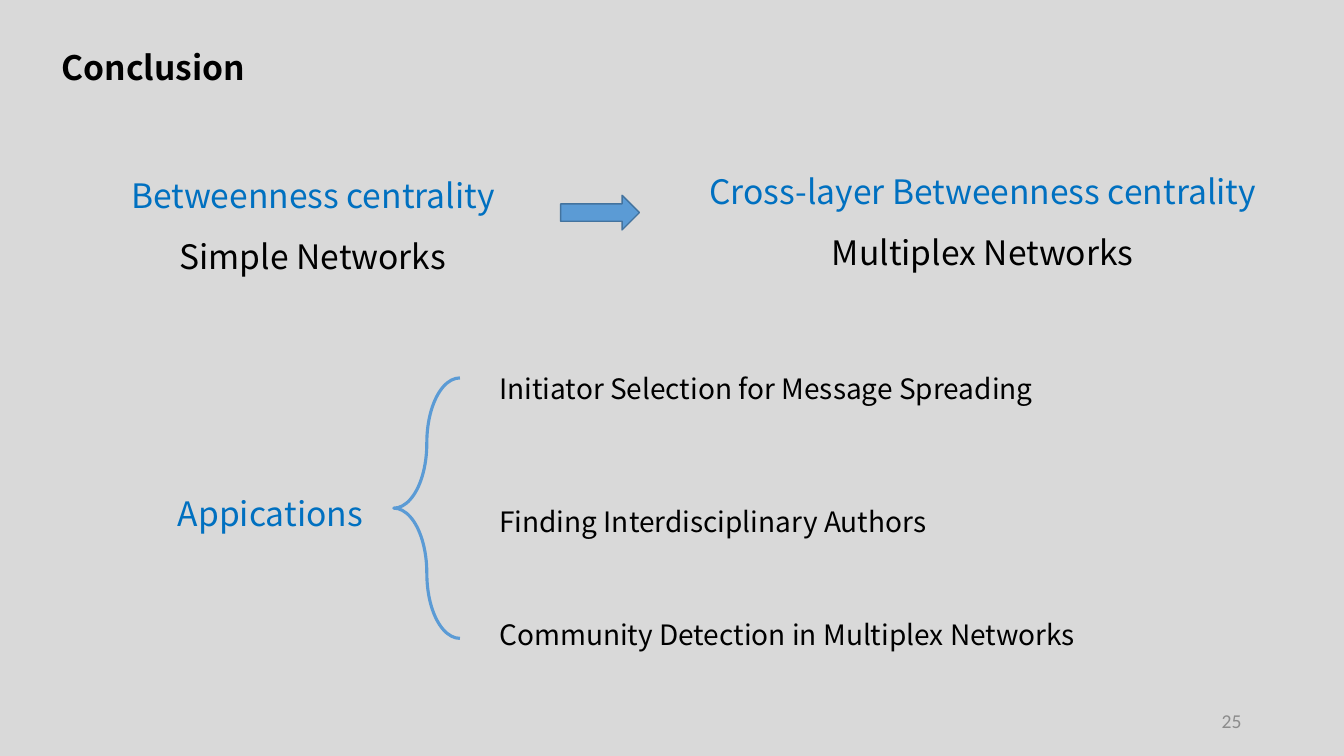
"""Build the conclusion slide on betweenness centrality."""
from pptx import Presentation
from pptx import util as u
from pptx.dml.color import RGBColor
from pptx.enum import shapes, text

PX = 9525
FONT = "Noto Sans CJK SC"
BLACK = RGBColor(0x00, 0x00, 0x00)
BLUE = RGBColor(0x00, 0x70, 0xC0)
SKY = RGBColor(0x5B, 0x9B, 0xD5)
EDGE = RGBColor(0x43, 0x73, 0x9E)
GRAY = RGBColor(0x8C, 0x8C, 0x8C)
BACK = RGBColor(0xD9, 0xD9, 0xD9)
LEFT, MID, RIGHT = text.PP_ALIGN.LEFT, text.PP_ALIGN.CENTER, text.PP_ALIGN.RIGHT


def write(frame, lines, size=24, font=FONT, bold=False, align=MID, space=1.5,
          anchor=text.MSO_ANCHOR.TOP, wrap=False):
    frame.word_wrap = wrap
    frame.auto_size = text.MSO_AUTO_SIZE.NONE
    frame.vertical_anchor = anchor
    for i, (words, color) in enumerate(lines):
        para = frame.add_paragraph() if i else frame.paragraphs[0]
        para.alignment = align
        para.line_spacing = space
        run = para.add_run()
        run.text = words
        run.font.name = font
        run.font.size = u.Pt(size)
        run.font.bold = bold
        run.font.color.rgb = color


class Deck:
    def __init__(self):
        self.prs = Presentation()
        self.prs.slide_width = 1280 * PX
        self.prs.slide_height = 720 * PX
        self.slide = self.prs.slides.add_slide(self.prs.slide_layouts[5])
        fill = self.slide.background.fill
        fill.solid()
        fill.fore_color.rgb = BACK

    def title(self, box, words):
        head = self.slide.shapes.title
        head.left, head.top, head.width, head.height = (n * PX for n in box)
        write(head.text_frame, [(words, BLACK)], bold=True)

    def label(self, box, *lines, **style):
        item = self.slide.shapes.add_textbox(*(n * PX for n in box))
        write(item.text_frame, lines, **style)

    def shape(self, kind, box, line, width, fill=None):
        item = self.slide.shapes.add_shape(kind, *(n * PX for n in box))
        item.shadow.inherit = False
        item.line.color.rgb = line
        item.line.width = u.Pt(width)
        if fill is None:
            item.fill.background()
        else:
            item.fill.solid()
            item.fill.fore_color.rgb = fill
        return item


def main():
    deck = Deck()
    deck.title((47, 21, 198, 61), "Conclusion")
    deck.label((112, 143, 372, 119), ("Betweenness centrality", BLUE),
               ("Simple Networks", BLACK))
    deck.label((659, 139, 554, 126), ("Cross-layer Betweenness centrality", BLUE),
               ("Multiplex Networks", BLACK))
    deck.shape(shapes.MSO_SHAPE.RIGHT_ARROW, (534, 186, 75, 33), EDGE, 1, SKY)

    deck.label((156, 446, 203, 61), ("Appications", BLUE))
    brace = deck.shape(shapes.MSO_SHAPE.LEFT_BRACE, (375, 360, 63, 248), SKY, 2.25)
    brace.adjustments[0] = 0.98
    uses = (
        (349, 552, "Initiator Selection for Message Spreading"),
        (476, 441, "Finding Interdisciplinary Authors"),
        (583, 595, "Community Detection in Multiplex Networks"),
    )
    for top, width, words in uses:
        deck.label((466, top, width, 42), (words, BLACK), size=20, align=LEFT, space=1.0)

    deck.label((904, 667, 288, 38), ("25", GRAY), size=14, font="Calibri", align=RIGHT,
               space=1.0, anchor=text.MSO_ANCHOR.MIDDLE, wrap=True)
    deck.prs.save("out.pptx")


if __name__ == "__main__":
    main()
